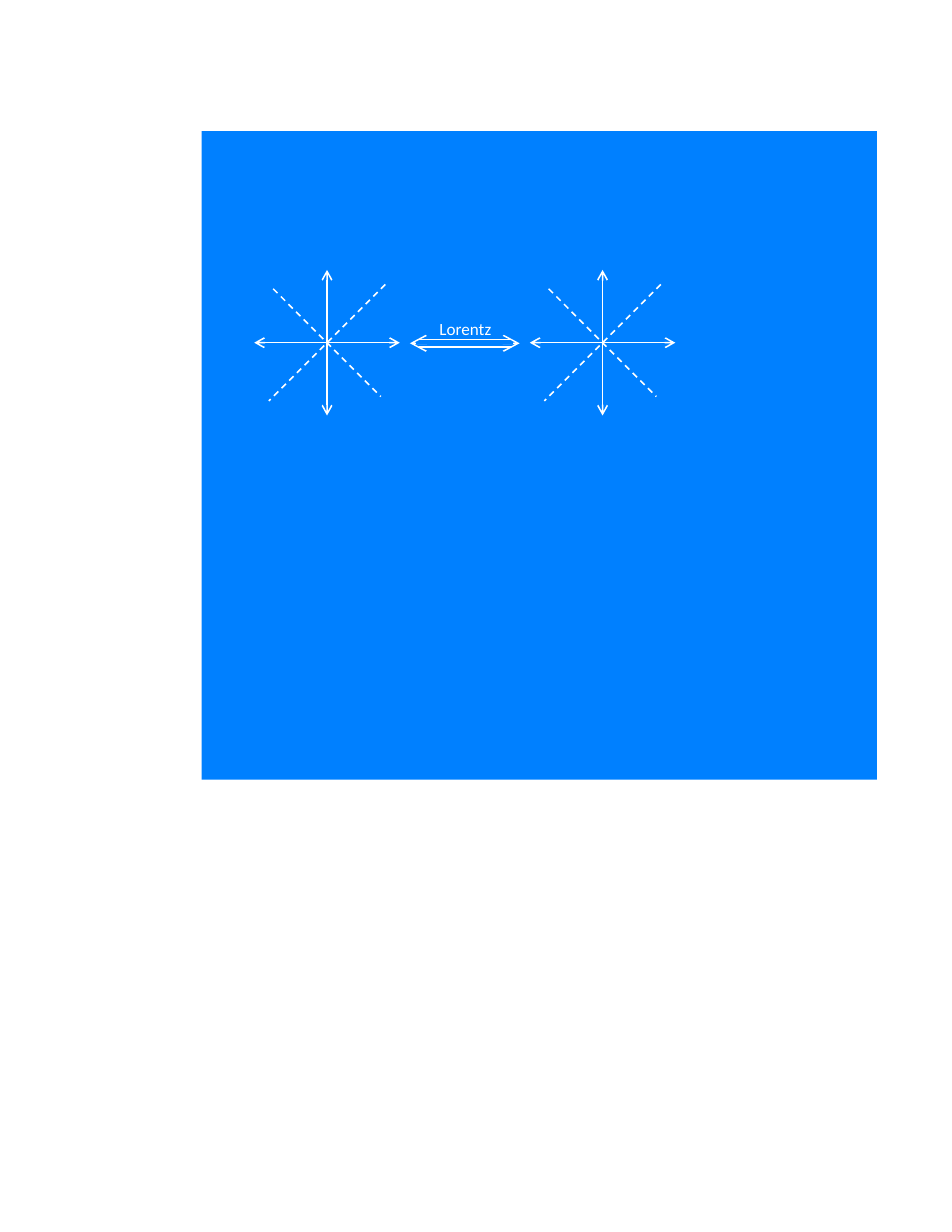
from lxml.etree import SubElement
from pptx import Presentation
from pptx.dml.color import RGBColor
from pptx.enum.dml import MSO_LINE
from pptx.enum.shapes import MSO_CONNECTOR as CONN, MSO_SHAPE as SHAPE
from pptx.enum.text import MSO_ANCHOR, MSO_AUTO_SIZE as AUTO, PP_ALIGN as ALIGN
from pptx.oxml.ns import qn
from pptx.util import Inches, Pt

BLUE, WHITE = "0080FF", "FFFFFF"


def rgb(code):
    """Turn a hex string into a colour."""
    return RGBColor.from_string(code)


def add_line(shapes, start, end, color=WHITE, width=1, dash=False, heads=None):
    """Draw a straight line, optionally dashed or with arrowheads of a size."""
    c = shapes.add_connector(CONN.STRAIGHT, *map(Inches, start + end))
    c.line.color.rgb = rgb(color)
    c.line.width = Pt(width)
    if dash:
        c.line.dash_style = MSO_LINE.DASH
    if heads:
        ln = c.line._get_or_add_ln()
        for tag in ("a:headEnd", "a:tailEnd"):
            SubElement(ln, qn(tag), type="arrow", w=heads, len=heads)
    SubElement(c._element.spPr, qn("a:effectLst"))


def add_background(slide, left, top, width, height):
    """Place the blue panel."""
    sp = slide.shapes.add_shape(SHAPE.RECTANGLE, *map(Inches, (left, top, width, height)))
    sp.shadow.inherit = False
    sp.fill.solid()
    sp.fill.fore_color.rgb = rgb(BLUE)
    sp.line.fill.background()


def add_axes(slide, left, top, size):
    """Draw crossed axes with dashed light-cone diagonals in a square box."""
    shapes = slide.shapes.add_group_shape().shapes

    def at(x, y):
        return left + x * size, top + y * size

    for start, end in (((.5, 0), (.5, 1)), ((0, .5), (1, .5))):
        add_line(shapes, at(*start), at(*end), heads="med")
    for start, end in (((.9, .1), (.1, .9)), ((.13, .13), (.87, .87))):
        add_line(shapes, at(*start), at(*end), dash=True)


def add_transform(slide, left, top, width, height, label):
    """Draw a labelled open double arrow along the bottom of a box."""
    shapes = slide.shapes.add_group_shape().shapes
    right, gap = left + width, 0.035
    y = top + height - gap
    for rail in (y - gap, y + gap):
        add_line(shapes, (left + 0.08, rail), (right - 0.08, rail))
    add_line(shapes, (left, y), (right, y), heads="lg")
    add_line(shapes, (left + 0.05, y), (right - 0.06, y), BLUE, 1.5)
    box = shapes.add_textbox(*map(Inches, (left + 0.03, top, width - 0.05, 0.29)))
    tf = box.text_frame
    tf.word_wrap = True
    tf.auto_size = AUTO.SHAPE_TO_FIT_TEXT
    tf.vertical_anchor = MSO_ANCHOR.TOP
    p = tf.paragraphs[0]
    p.text = label
    p.alignment = ALIGN.CENTER
    p.space_after = Pt(6)
    p.font.name = "Calibri"
    p.font.size = Pt(11)
    p.font.color.rgb = rgb(WHITE)


def main():
    """Build the slide and save it."""
    prs = Presentation()
    prs.slide_width, prs.slide_height = Inches(8.5), Inches(11)
    slide = prs.slides.add_slide(prs.slide_layouts[6])
    add_background(slide, 1.8, 1.17, 6.03, 5.79)
    add_axes(slide, 2.27, 2.41, 1.3)
    add_transform(slide, 3.66, 2.79, 0.98, 0.31, "Lorentz")
    add_axes(slide, 4.73, 2.41, 1.3)
    prs.save("out.pptx")


if __name__ == "__main__":
    main()
